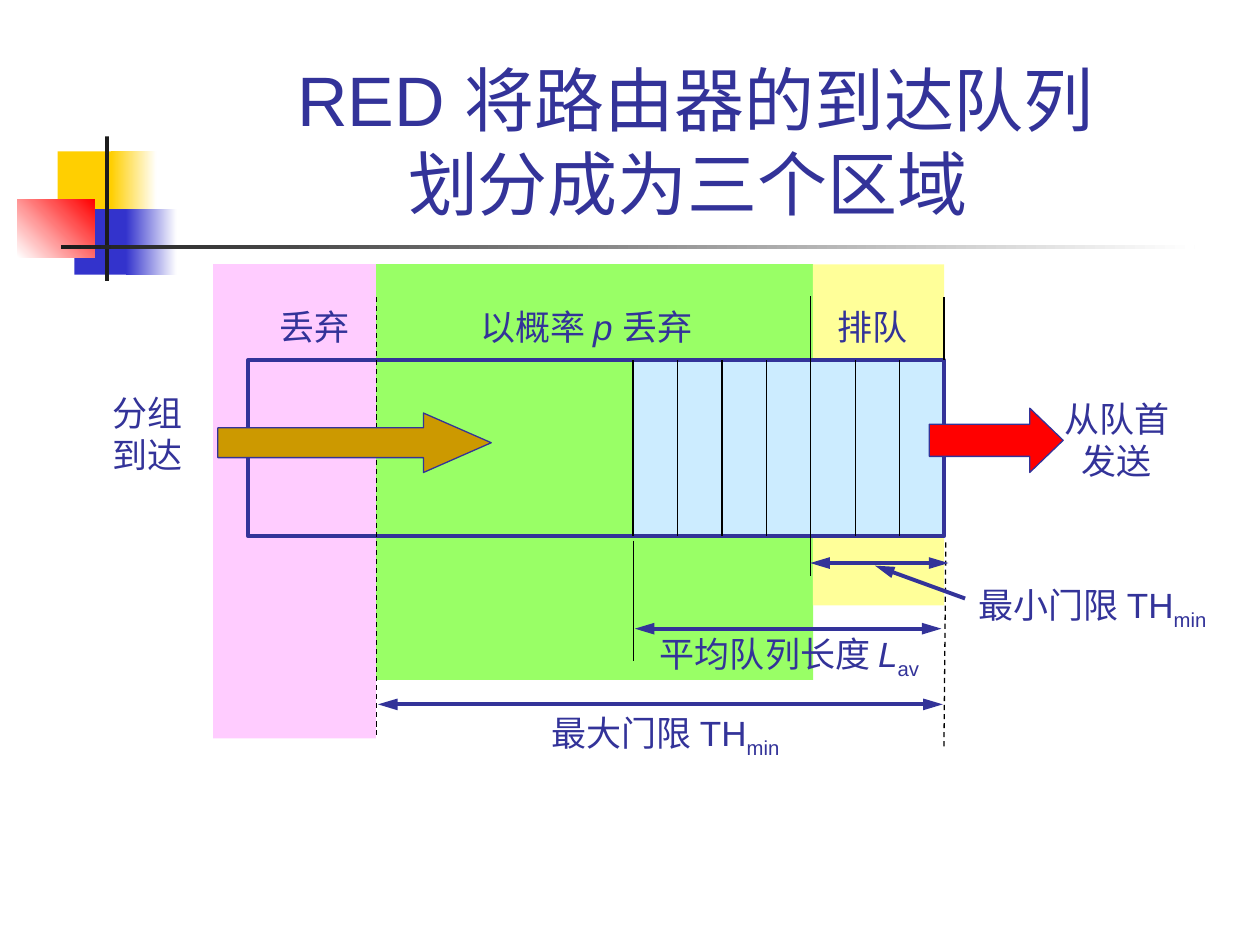
from lxml import etree
from pptx import Presentation
from pptx.dml.color import RGBColor
from pptx.enum.dml import MSO_LINE
from pptx.enum.shapes import MSO_CONNECTOR, MSO_SHAPE
from pptx.enum.text import MSO_ANCHOR, MSO_AUTO_SIZE, PP_ALIGN
from pptx.oxml.ns import qn
from pptx.util import Pt

RECT, ARROW = MSO_SHAPE.RECTANGLE, MSO_SHAPE.RIGHT_ARROW
STRAIGHT, DASH = MSO_CONNECTOR.STRAIGHT, MSO_LINE.DASH
LEFT, CENTER = PP_ALIGN.LEFT, PP_ALIGN.CENTER
TOP, BOTTOM = MSO_ANCHOR.TOP, MSO_ANCHOR.BOTTOM
FIT, FIXED = MSO_AUTO_SIZE.SHAPE_TO_FIT_TEXT, MSO_AUTO_SIZE.NONE

COLORS = {
    "white": "FFFFFF", "black": "000000", "ink": "333399", "dark": "1C1C1C",
    "gold": "FFCF01", "blue": "3333CC", "red": "FF0000", "ochre": "CC9900",
    "green": "99FF66", "yellow": "FFFF99", "pink": "FFCCFF", "sky": "CCECFF",
}


def color(name):
    return RGBColor.from_string(COLORS[name])


class Deck:
    """Holds the text style and the current slide, and draws on it."""

    def __init__(self, font="Arial", size=20, ink="ink"):
        self.font, self.size, self.ink = font, size, ink
        self.prs = Presentation()
        self.prs.slide_width, self.prs.slide_height = Pt(720), Pt(540)
        self.slide = self.prs.slides.add_slide(self.prs.slide_layouts[6])

    def shape(self, x, y, w, h, fill=None, line=None, width=0.75, kind=RECT):
        item = self.slide.shapes.add_shape(kind, Pt(x), Pt(y), Pt(w), Pt(h))
        item.shadow.inherit = False
        if fill:
            item.fill.solid()
            item.fill.fore_color.rgb = color(fill)
        else:
            item.fill.background()
        if line:
            item.line.color.rgb = color(line)
            item.line.width = Pt(width)
        else:
            item.line.fill.background()
        return item

    def fade(self, x, y, w, h, start, end, angle=0):
        fill = self.shape(x, y, w, h).fill
        fill.gradient()
        fill.gradient_angle = angle
        for stop, name in zip(fill.gradient_stops, (start, end)):
            stop.color.rgb = color(name)

    def arrow(self, x, y, w, h, fill, head):
        item = self.shape(x, y, w, h, fill, self.ink, kind=ARROW)
        item.adjustments[0], item.adjustments[1] = 0.5, head

    def line(self, x1, y1, x2, y2, ink="black", width=0.75, dash=None, ends=()):
        item = self.slide.shapes.add_connector(
            STRAIGHT, Pt(x1), Pt(y1), Pt(x2), Pt(y2))
        item.line.color.rgb = color(ink)
        item.line.width = Pt(width)
        if dash:
            item.line.dash_style = dash
        props = item.line._get_or_add_ln()
        for end in ends:
            etree.SubElement(props, qn("a:" + end), type="triangle", w="med", len="lg")
        etree.SubElement(item._element.spPr, qn("a:effectLst"))

    def span(self, x1, y1, x2, y2, ends=("headEnd", "tailEnd")):
        self.line(x1, y1, x2, y2, self.ink, 2.25, ends=ends)

    def text(self, x, y, w, h, rows, align=LEFT, size=None, wrap=True,
             anchor=TOP, fit=FIT):
        box = self.slide.shapes.add_textbox(Pt(x), Pt(y), Pt(w), Pt(h))
        frame = box.text_frame
        frame.word_wrap, frame.auto_size = wrap, fit
        frame.vertical_anchor = anchor
        frame.margin_left = Pt(0 if align == CENTER else 7.2)
        frame.margin_right = Pt(0)
        for num, row in enumerate(rows):
            para = frame.add_paragraph() if num else frame.paragraphs[0]
            para.alignment = align
            for words, style in row:
                para.add_run().text = words
                run = para.runs[-1]
                run.font.name, run.font.size = self.font, Pt(size or self.size)
                run.font.color.rgb = color(self.ink)
                run.font.italic = style == "italic"
                if style == "sub":
                    run._r.get_or_add_rPr().set("baseline", "-25000")


def main():
    deck = Deck()

    deck.shape(33, 86.5, 34.5, 37.5, "gold")
    deck.fade(63.5, 86.5, 26, 37.5, "gold", "white")
    deck.shape(42.5, 119.5, 33, 37.5, "blue")
    deck.fade(72, 119.5, 29, 37.5, "blue", "white")
    deck.fade(10, 113.75, 44, 33.25, "white", "red", 45)
    deck.shape(60, 78, 2.25, 82.5, "dark")
    deck.fade(34.75, 140, 648, 2.5, "dark", "white")

    zone = 151
    deck.shape(214.75, zone, 250, 237.5, "green")
    deck.shape(464.5, zone, 75, 195, "yellow")
    deck.shape(121.75, zone, 93, 271, "pink")

    deck.text(90.75, 16.5, 613.5, 115.5, [
        [("RED 将路由器的到达队列", "")], [("划分成为三个区域 ", "")],
    ], CENTER, 40, anchor=BOTTOM, fit=FIXED)

    top, high, first, last, step = 205.75, 100.75, 361.7, 539.4, 25.4
    base = top + high
    deck.shape(first, top, last - first, high, "sky")
    deck.shape(141.75, top, last - 141.75, high, line="ink", width=2.25)
    for cell in range(7):
        up, down = (169.25, 329) if cell == 4 else (top, base)
        x = first + cell * step
        deck.line(x, up, x, down)
    deck.line(215.25, 169.75, 215.25, 420, dash=DASH)
    deck.line(last, 169.75, last, top)
    deck.line(540.5, 310, last, 428.5, dash=DASH)
    deck.line(362, 309, 362, 377.5)

    deck.arrow(531, 233.25, 76.5, 36.75, "red", 0.52)
    deck.arrow(124.5, 236, 156.25, 34, "ochre", 1.14)

    pair = 55.5
    deck.text(601.25, 223.75, 74, pair, [[("从队首", "")], [("发送", "")]], CENTER)
    deck.text(57.25, 220.25, 54, pair, [[("分组", "")], [("到达", "")]], CENTER)
    deck.text(552.25, 329.75, 154, 34.5, [[("最小门限 TH", ""), ("min", "sub")]])
    deck.text(308.25, 403.25, 149, 34.5, [[("最大门限 TH", ""), ("min", "sub")]])
    deck.text(370, 357.75, 167, 34.5,
              [[("平均队列长度 ", ""), ("L", "italic"), ("av", "sub")]])
    label = 170.75
    deck.text(471.5, label, 54, 31.5, [[("排队", "")]])
    deck.text(152.5, label, 54, 31.5, [[("丢弃", "")]])
    deck.text(267.25, label, 145.5, 31.5,
              [[("以概率 ", ""), ("p ", "italic"), ("丢弃", "")]])

    deck.span(362.75, 359.25, 538, 359.25)
    deck.span(463, 321.75, 542, 321.75)
    deck.span(216, 402.5, 538.75, 402.5)
    deck.span(551.5, 342, 500, 323.25, ("tailEnd",))

    deck.prs.save("out.pptx")


if __name__ == "__main__":
    main()
